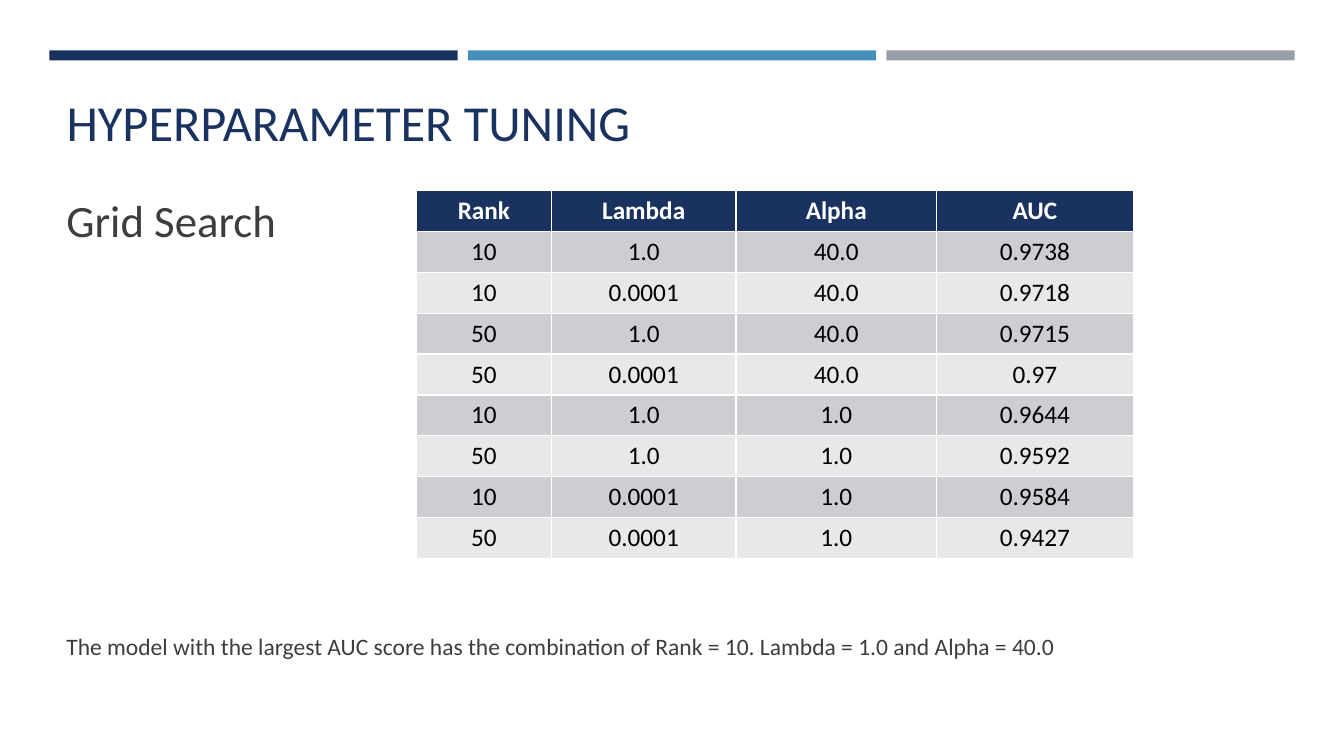
from pptx import Presentation, util as u
from pptx.dml.color import RGBColor
from pptx.enum import shapes, text

NAVY = RGBColor(0x1A, 0x32, 0x60)
BLUE = RGBColor(0x45, 0x90, 0xB8)
GRAY = RGBColor(0x96, 0x9F, 0xA7)
INK = RGBColor(0x3D, 0x3D, 0x3D)
BLACK = RGBColor(0, 0, 0)
WHITE = RGBColor(0xFF, 0xFF, 0xFF)
BANDS = [RGBColor(0xE8, 0xE8, 0xEA), RGBColor(0xCD, 0xCE, 0xD2)]
LEFT = 0.56


def set_font(p, size, color, bold=False):
    p.font.name = "Calibri"
    p.font.size = u.Pt(size)
    p.font.color.rgb = color
    p.font.bold = bold


prs = Presentation()
prs.slide_width, prs.slide_height = u.Inches(13.33), u.Inches(7.5)
s = prs.slides.add_slide(prs.slide_layouts[5])

# Three bars across the top
bar_width, bar_pitch = 4.05, 4.15
for i, color in enumerate([NAVY, BLUE, GRAY]):
    sp = s.shapes.add_shape(shapes.MSO_SHAPE.RECTANGLE, u.Inches(0.49 + i * bar_pitch),
                            u.Inches(0.5), u.Inches(bar_width), u.Inches(0.1))
    sp.shadow.inherit = False
    sp.fill.solid()
    sp.fill.fore_color.rgb = color
    sp.line.fill.background()

# Title
title = s.shapes.title
title.left, title.top = u.Inches(LEFT), u.Inches(0.93)
title.width, title.height = u.Inches(12.06), u.Inches(0.62)
tf = title.text_frame
tf.text = "HYPERPARAMETER TUNING"
tf.vertical_anchor = text.MSO_ANCHOR.BOTTOM
tf.auto_size = text.MSO_AUTO_SIZE.NONE
tf.paragraphs[0].alignment = text.PP_ALIGN.LEFT
set_font(tf.paragraphs[0], 36, NAVY)

# Subheading and conclusion
conclusion = ("The model with the largest AUC score has the combination of "
              "Rank = 10. Lambda = 1.0 and Alpha = 40.0")
for words, top, width, height, size in [("Grid Search", 1.84, 2.51, 0.68, 32),
                                        (conclusion, 6.19, 10.69, 0.43, 16.8)]:
    tf = s.shapes.add_textbox(u.Inches(LEFT), u.Inches(top),
                              u.Inches(width), u.Inches(height)).text_frame
    tf.word_wrap = True
    tf.vertical_anchor = text.MSO_ANCHOR.MIDDLE
    tf.text = words
    set_font(tf.paragraphs[0], size, INK)

# Results table
results = [
    ("Rank", "Lambda", "Alpha", "AUC"),
    ("10", "1.0", "40.0", "0.9738"),
    ("10", "0.0001", "40.0", "0.9718"),
    ("50", "1.0", "40.0", "0.9715"),
    ("50", "0.0001", "40.0", "0.97"),
    ("10", "1.0", "1.0", "0.9644"),
    ("50", "1.0", "1.0", "0.9592"),
    ("10", "0.0001", "1.0", "0.9584"),
    ("50", "0.0001", "1.0", "0.9427"),
]
col_widths = [1.34, 1.83, 1.99, 1.95]
table = s.shapes.add_table(len(results), len(col_widths), u.Inches(4.13), u.Inches(1.89),
                           u.Inches(sum(col_widths)), u.Inches(3.65)).table
for col, width in zip(table.columns, col_widths):
    col.width = u.Inches(width)
for r, row in enumerate(results):
    for c, value in enumerate(row):
        cell = table.cell(r, c)
        cell.text = value
        cell.fill.solid()
        cell.fill.fore_color.rgb = BANDS[r % 2] if r else NAVY
        p = cell.text_frame.paragraphs[0]
        p.alignment = text.PP_ALIGN.CENTER
        set_font(p, 18, BLACK if r else WHITE, bold=r == 0)

prs.save("out.pptx")
